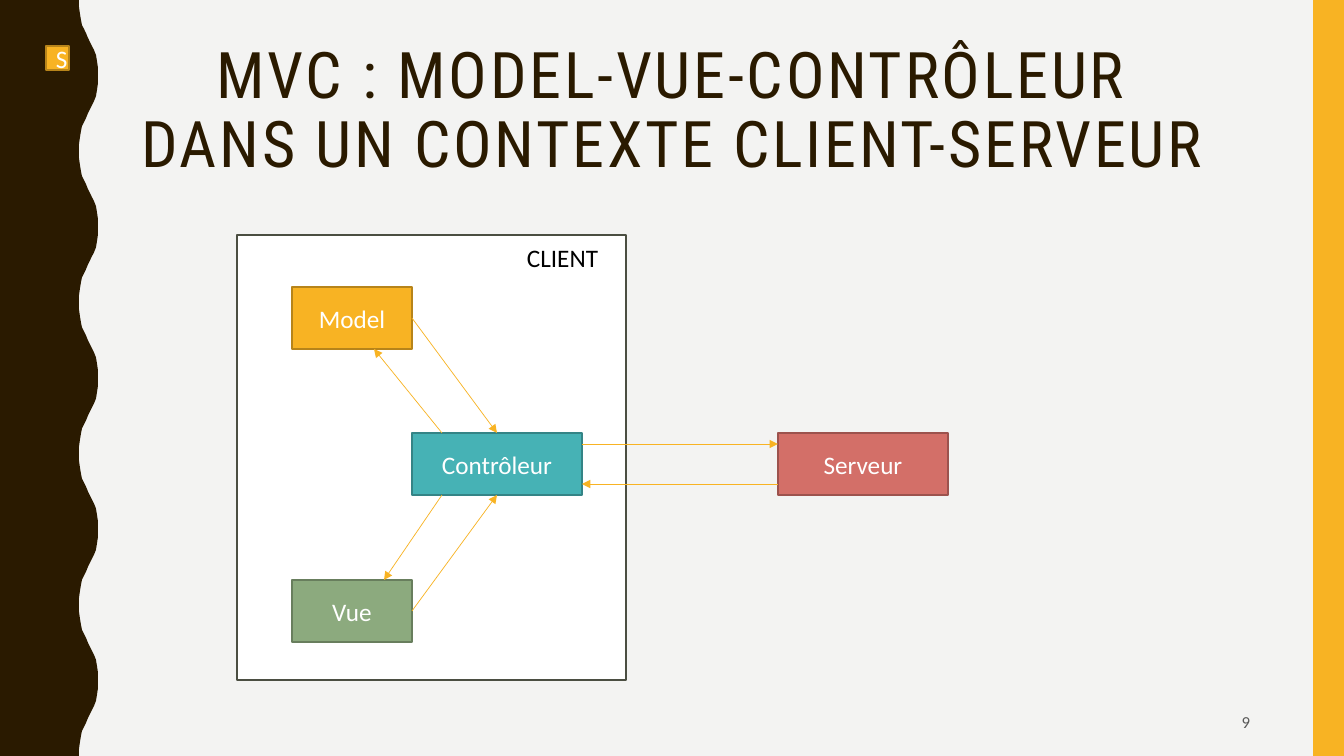
from lxml import etree
from pptx import Presentation
from pptx.dml.color import RGBColor
from pptx.enum.shapes import MSO_CONNECTOR, MSO_SHAPE
from pptx.enum.text import MSO_ANCHOR, PP_ALIGN
from pptx.oxml.ns import qn
from pptx.util import Pt

STRAIGHT = MSO_CONNECTOR.STRAIGHT
RECT = MSO_SHAPE.RECTANGLE
TOP, MIDDLE = MSO_ANCHOR.TOP, MSO_ANCHOR.MIDDLE
LEFT, CENTER, RIGHT = PP_ALIGN.LEFT, PP_ALIGN.CENTER, PP_ALIGN.RIGHT

PX = 914400 / 100.8
WIDTH, HEIGHT = 1344, 756
BROWN, AMBER, AMBER_EDGE = "2A1A00", "F8B323", "B7841A"
BODY = {"name": "Calibri", "size": Pt(18)}
TITLE = {"name": "Roboto Condensed", "size": Pt(45.9)}
NUMBER = {"name": "Calibri", "size": Pt(12)}
WAVE_COUNT = 5
HALF_WAVE = [(79, 0), (79, 7), (80, 14), (81, 20), (82, 25), (84, 29), (86, 33),
             (88, 38), (90, 42), (92, 46), (94, 50), (96, 55), (97, 61), (98, 68)]


def px(n):
    return round(n * PX)


def color(value):
    return RGBColor.from_string(value)


class Deck:
    def __init__(self):
        self.prs = Presentation()
        self.prs.slide_width, self.prs.slide_height = px(WIDTH), px(HEIGHT)
        self.s = self.prs.slides.add_slide(self.prs.slide_layouts[6])

    def background(self, fill):
        bg = self.s.background.fill
        bg.solid()
        bg.fore_color.rgb = color(fill)

    def paint(self, sp, fill, edge=None):
        sp.shadow.inherit = False
        sp.fill.solid()
        sp.fill.fore_color.rgb = color(fill)
        if edge:
            sp.line.color.rgb = color(edge)
            sp.line.width = Pt(1)
        else:
            sp.line.fill.background()

    def set_text(self, sp, text, ink, font, align, anchor, wrap=True, spacing=None, tracking=None):
        tf = sp.text_frame
        for key, value in {"word_wrap": wrap, "vertical_anchor": anchor}.items():
            setattr(tf, key, value)
        p = tf.paragraphs[0]
        for key, value in {"alignment": align, "line_spacing": spacing}.items():
            setattr(p, key, value)
        for i, line in enumerate(text.split("\n")):
            if i:
                p.add_line_break()
            r = p.add_run()
            r.text = line
            for key, value in font.items():
                setattr(r.font, key, value)
            r.font.color.rgb = color(ink)
            if tracking:
                r.font._element.set("spc", str(tracking))

    def box(self, x, y, w, h, fill, edge=None, text=None):
        sp = self.s.shapes.add_shape(RECT, px(x), px(y), px(w), px(h))
        self.paint(sp, fill, edge)
        if text:
            self.set_text(sp, text, "FFFFFF", BODY, CENTER, MIDDLE)
        return sp

    def label(self, x, y, w, h, text, ink, font, align, anchor=TOP, **layout):
        sp = self.s.shapes.add_textbox(px(x), px(y), px(w), px(h))
        self.set_text(sp, text, ink, font, align, anchor, **layout)

    def outline(self, points, fill):
        (x, y), *rest = [(px(a), px(b)) for a, b in points]
        builder = self.s.shapes.build_freeform(x, y)
        builder.add_line_segments(rest, close=True)
        self.paint(builder.convert_to_shape(), fill)

    def arrow(self, x1, y1, x2, y2, begin=None, end=None):
        sp = self.s.shapes.add_connector(STRAIGHT, px(x1), px(y1), px(x2), px(y2))
        if begin:
            sp.begin_connect(*begin)
        if end:
            sp.end_connect(*end)
        sp.line.color.rgb = color(AMBER)
        sp.line.width = Pt(0.5)
        etree.SubElement(sp.line._get_or_add_ln(), qn("a:tailEnd"), type="triangle")
        etree.SubElement(sp._element.spPr, qn("a:effectLst"))


def wavy_edge():
    period = HEIGHT / WAVE_COUNT
    crest = [(98, period / 2)]
    falling = [(x, period - y) for x, y in reversed(HALF_WAVE)]
    wave = HALF_WAVE + crest + falling
    return [(x, y + i * period) for i in range(WAVE_COUNT) for x, y in wave]


def main():
    deck = Deck()
    deck.background("F3F3F2")
    deck.outline([(0, 0), *wavy_edge(), (0, HEIGHT)], BROWN)
    deck.box(1313, 0, 31, HEIGHT, AMBER)
    deck.box(237, 235, 389, 445, "FFFFFF", "4B4E42")
    deck.label(118, 38, 1109, 120, "MVC : MODEL-VUE-CONTRÔLEUR\nDANS UN CONTEXTE CLIENT-SERVEUR",
               BROWN, TITLE, CENTER, spacing=0.9, tracking=200)

    controller = deck.box(412, 433, 170, 62, "46B2B5", "348486", "Contrôleur")
    model = deck.box(292, 287, 120, 62, AMBER, AMBER_EDGE, "Model")
    view = deck.box(292, 580, 120, 62, "8CAA7E", "687E5D", "Vue")
    deck.box(778, 433, 170, 62, "D36F68", "9C524D", "Serveur")

    deck.arrow(442, 433, 374, 349)
    deck.arrow(442, 495, 384, 580)
    deck.arrow(412, 611, 497, 495, (view, 3), (controller, 2))
    deck.arrow(412, 318, 497, 433, (model, 3), (controller, 0))
    deck.arrow(582, 444, 778, 444)
    deck.arrow(778, 484, 582, 484)

    deck.label(517, 237, 102, 40, "CLIENT", "000000", BODY, LEFT, wrap=False)
    deck.box(46, 46, 23, 24, AMBER, AMBER_EDGE, "S")
    deck.label(950, 703, 310, 38, "9", "595959", NUMBER, RIGHT, MIDDLE)
    deck.prs.save("out.pptx")


if __name__ == "__main__":
    main()
